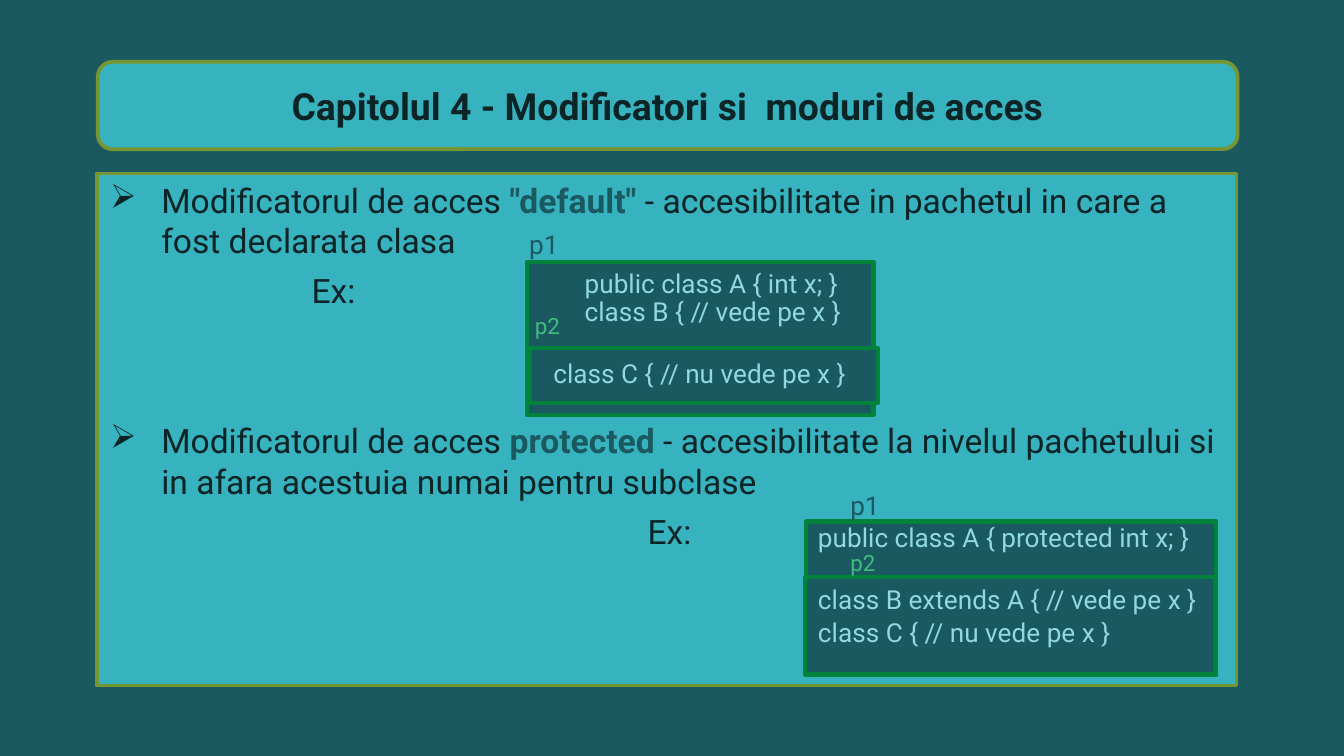
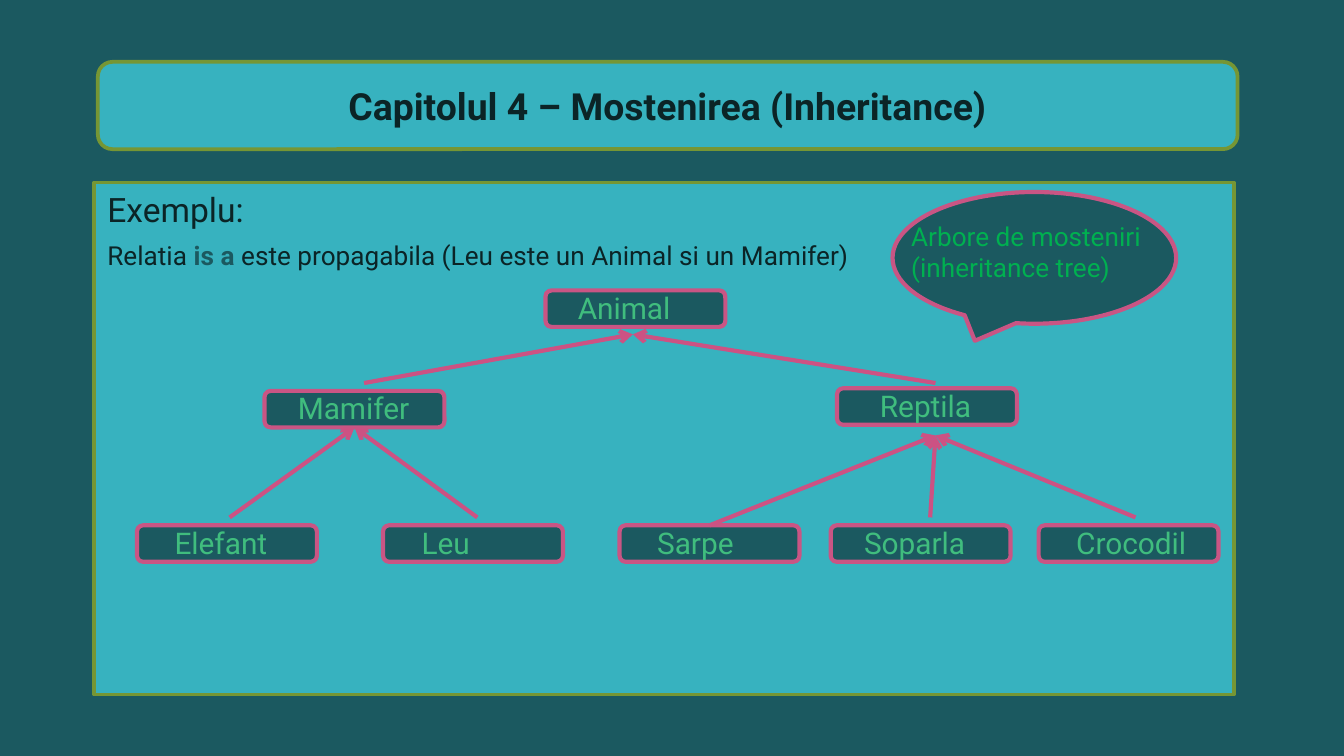
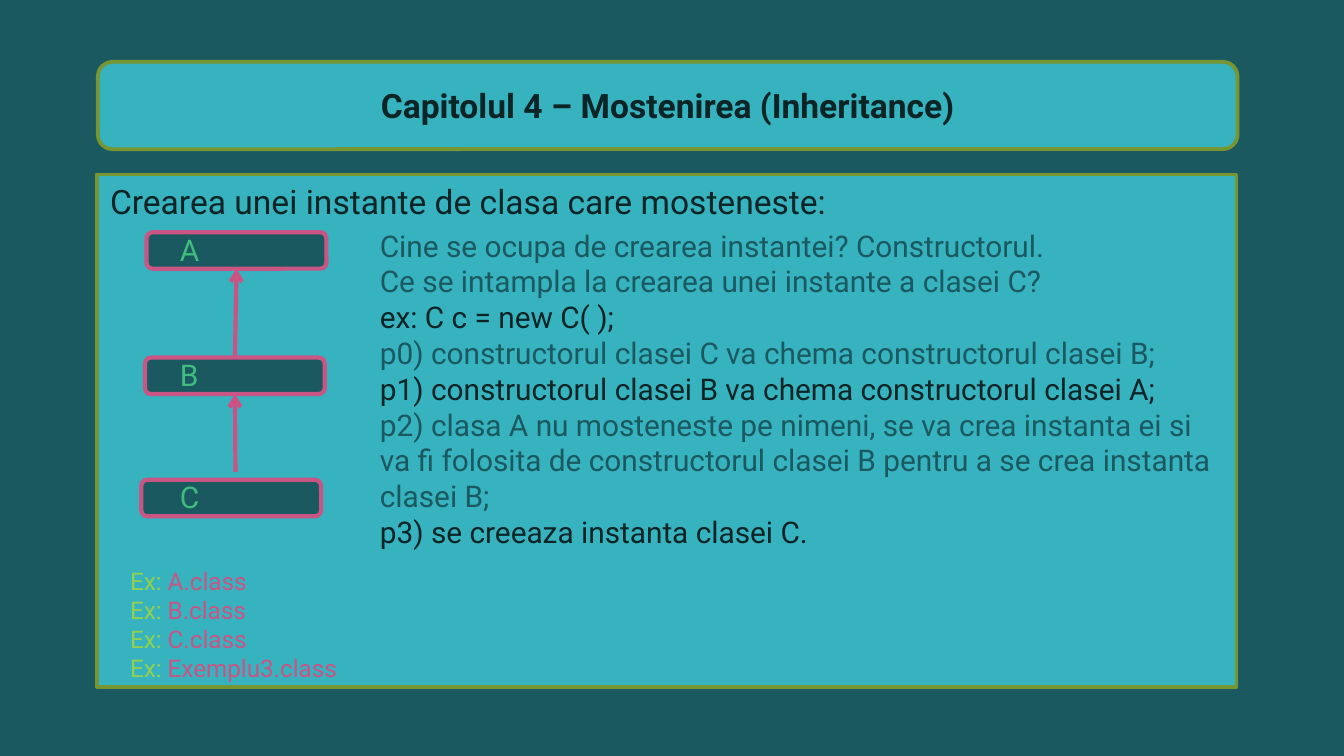
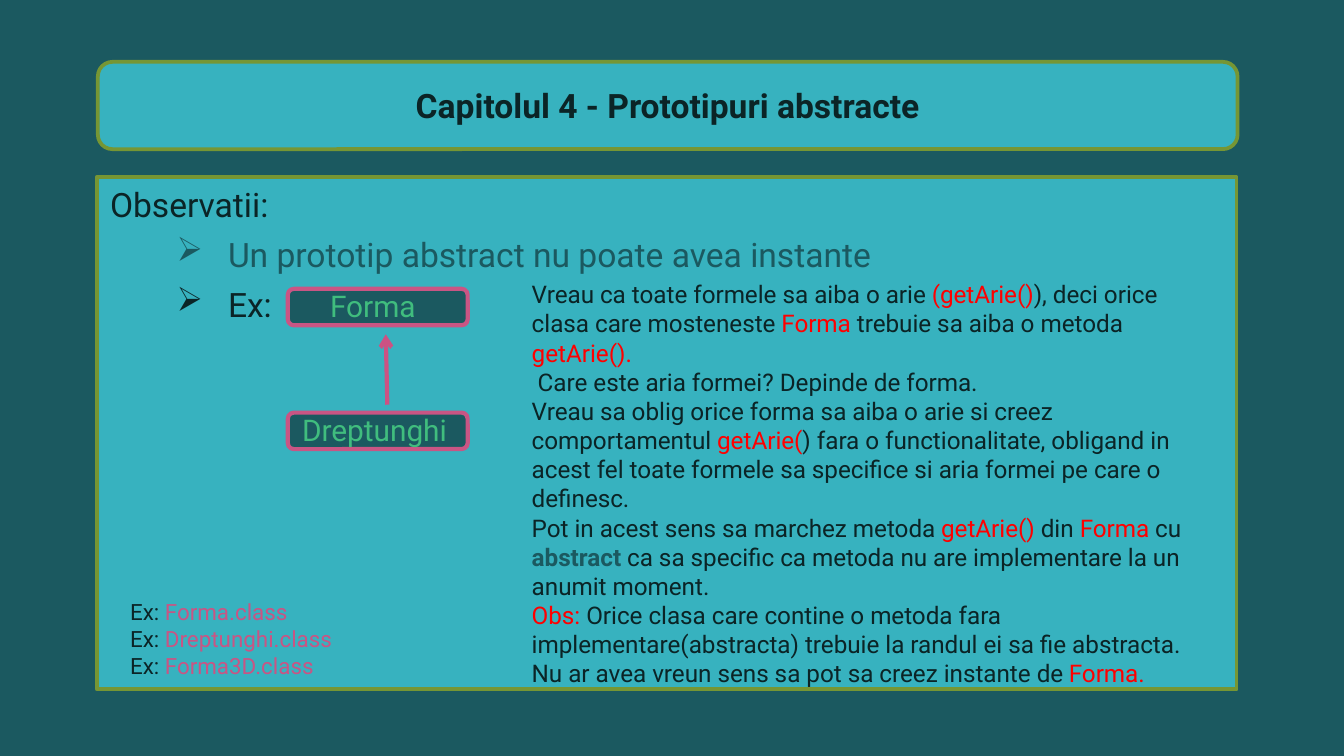
"""Build four slides on access modifiers, inheritance and abstract types."""
from lxml import etree
from pptx import Presentation
from pptx.dml.color import RGBColor
from pptx.enum.shapes import MSO_CONNECTOR, MSO_SHAPE
from pptx.enum.text import MSO_ANCHOR, MSO_AUTO_SIZE, PP_ALIGN
from pptx.oxml.ns import qn
from pptx.util import Cm, Pt

RECT, ROUND = MSO_SHAPE.RECTANGLE, MSO_SHAPE.ROUNDED_RECTANGLE
SHEET, BUBBLE = MSO_SHAPE.FOLDED_CORNER, MSO_SHAPE.OVAL_CALLOUT
LINE = MSO_CONNECTOR.STRAIGHT
TOP, MID = MSO_ANCHOR.TOP, MSO_ANCHOR.MIDDLE
LEFT, MIDDLE = PP_ALIGN.LEFT, PP_ALIGN.CENTER
GROW = MSO_AUTO_SIZE.SHAPE_TO_FIT_TEXT


class Theme:
    font = "Roboto"
    deep, teal, ink = "1B5960", "37B2BF", "0B2426"
    olive, green, rose, arrow = "769634", "00823B", "C95584", "CC5283"
    pale, mint, leaf, lime, red = "91D8E0", "40BD7E", "00B050", "92D050", "FF0000"
    large, head, node, code, note, small = 20, 18, 16, 14, 13, 12
    frame, edge, gap = 2, 2.25, 5.2


def draw(slide, at, paras=(), size=Theme.code, hue=Theme.ink, kind=None,
         fill=Theme.deep, line=Theme.rose, width=Theme.edge):
    """Add a shape, or a text box if no kind is given, and write its text."""
    place = [Cm(n) for n in at]
    if kind is None:
        shape = slide.shapes.add_textbox(*place)
        shape.text_frame.auto_size = GROW
    else:
        shape = slide.shapes.add_shape(kind, *place)
        shape.shadow.inherit = False
        shape.fill.solid()
        shape.fill.fore_color.rgb = RGBColor.from_string(fill)
        shape.line.color.rgb = RGBColor.from_string(line)
        shape.line.width = Pt(width)
    frame = shape.text_frame
    frame.word_wrap = True
    frame.vertical_anchor = TOP
    for i, runs in enumerate(paras):
        para = frame.add_paragraph() if i else frame.paragraphs[0]
        para.alignment = LEFT
        runs = [(run, hue) if isinstance(run, str) else run for run in runs]
        base = runs[0][1]
        para.font.name, para.font.size = Theme.font, Pt(size)
        para.font.color.rgb = RGBColor.from_string(base)
        for text, tint, *bold in runs:
            run = para.add_run()
            run.text = text
            if tint != base:
                run.font.color.rgb = RGBColor.from_string(tint)
            if bold:
                run.font.bold = True
    return shape


def link(slide, start, end):
    """Draw an arrow from a point or a shape's top to a point or a shape's bottom."""
    spots = [Cm(n) for spot in (start, end)
             for n in (spot if isinstance(spot, tuple) else (0, 0))]
    arrow = slide.shapes.add_connector(LINE, *spots)
    if not isinstance(start, tuple):
        arrow.begin_connect(start, 0)
    if not isinstance(end, tuple):
        arrow.end_connect(end, 2)
    arrow.line.color.rgb = RGBColor.from_string(Theme.arrow)
    arrow.line.width = Pt(Theme.edge)
    etree.SubElement(arrow.line._get_or_add_ln(), qn("a:tailEnd"), type="arrow")
    etree.SubElement(arrow._element.spPr, qn("a:effectLst"))


deck = Presentation()
deck.slide_width, deck.slide_height = Cm(25.4), Cm(14.29)

pages = [
    ("Capitolul 4 - Modificatori si  moduri de acces", Theme.large, 1.83, 3.28, [
        (0.97, True, 0, Theme.head, [
            "Modificatorul de acces ", ("\"default\" ", Theme.deep, True),
            "- accesibilitate in pachetul in care a fost declarata clasa"]),
        (3.81, False, 0, Theme.head, ["Ex:"]),
        (0.97, True, 53.5, Theme.head, [
            "Modificatorul de acces ", ("protected ", Theme.deep, True),
            "- accesibilitate la nivelul pachetului si in afara acestuia numai pentru subclase"]),
        (10.16, False, 0, Theme.head, ["Ex:"])]),
    ("Capitolul 4 – Mostenirea (Inheritance)", Theme.large, 1.78, 3.45, [
        (0, False, 0, Theme.head, ["Exemplu:"]),
        (0, False, 0, Theme.code, [
            "Relatia ", ("is a ", Theme.deep, True),
            "este propagabila (Leu este un Animal si un Mamifer)"])]),
    ("Capitolul 4 – Mostenirea (Inheritance)", Theme.head, 1.83, 3.3, [
        (0, False, 0, Theme.head, ["Crearea unei instante de clasa care mosteneste:"])]),
    ("Capitolul 4 - Prototipuri abstracte", Theme.head, 1.83, 3.35, [
        (0, False, 0, Theme.head, ["Observatii:"]),
        (2.23, True, 0, Theme.head, [
            ("Un prototip abstract nu poate avea instante", Theme.deep)]),
        (2.23, True, 0, Theme.head, ["Ex:"])]),
]
slides = []
for title, size, left, top, lines in pages:
    slide = deck.slides.add_slide(deck.slide_layouts[6])
    slides.append(slide)
    slide.background.fill.solid()
    slide.background.fill.fore_color.rgb = RGBColor.from_string(Theme.deep)
    look = {"fill": Theme.teal, "line": Theme.olive, "width": Theme.frame}
    band = draw(slide, (1.85, 1.17, 21.54, 1.65), [[title]], size, kind=ROUND, **look)
    band.text_frame.vertical_anchor = MID
    band.text_frame.paragraphs[0].alignment = MIDDLE
    band.text_frame.paragraphs[0].font.bold = True
    sheet = draw(slide, (left, top, 21.54, 9.68), [line[-1] for line in lines],
                 kind=SHEET, **look)
    fold = next(sheet._element.spPr.iter(qn("a:avLst")))
    etree.SubElement(fold, qn("a:gd"), name="adj", fmla="val 0")
    for para, (indent, bullet, before, size, runs) in zip(sheet.text_frame.paragraphs, lines):
        para.font.size = Pt(size)
        para.space_after = Pt(Theme.gap)
        if before:
            para.space_before = Pt(before)
        props = para._p.get_or_add_pPr()
        props.set("marL", str(Cm(indent)))
        props.set("indent", str(Cm(-0.97 if bullet else 0)))
        if bullet:
            mark = etree.Element(qn("a:buChar"), char="➢")
            props.find(qn("a:defRPr")).addprevious(mark)
access, tree, birth, proto = slides

for at in [(9.96, 4.95, 6.55, 2.9), (10.01, 6.58, 6.58, 1.04),
           (15.24, 9.86, 7.75, 2.9), (15.21, 10.9, 7.75, 1.85)]:
    draw(access, at, kind=RECT, line=Theme.green)
for left, top, width, text in [
        (10.8, 4.93, 5.72, "public class A { int x; }"),
        (10.8, 5.46, 5.72, "class B { // vede pe x }"),
        (10.21, 6.63, 6.5, "class C { // nu vede pe x }"),
        (15.21, 9.73, 7.75, "public class A { protected int x; }"),
        (15.21, 10.9, 8.13, "class B extends A { // vede pe x }"),
        (15.21, 11.53, 7.75, "class C { // nu vede pe x }")]:
    draw(access, (left, top, width, 0.86), [[text]], hue=Theme.pale)
for left, top in [(9.75, 4.19), (15.82, 9.12)]:
    draw(access, (left, top, 1.9, 0.86), [["p1"]], hue=Theme.deep)
for left, top in [(9.86, 5.77), (15.82, 10.26)]:
    draw(access, (left, top, 1.07, 0.69), [["p2"]], Theme.small, Theme.mint)

nodes = {}
for slide, name, left, top, start, width in [
        (tree, "Animal", 10.31, 5.49, 10.67, 2.6),
        (tree, "Mamifer", 5, 7.39, 5.38, 3.05),
        (tree, "Reptila", 15.82, 7.34, 16.38, 2.6),
        (tree, "Elefant", 2.59, 9.93, 3.05, 2.6),
        (tree, "Leu", 7.24, 9.93, 7.72, 2.6),
        (tree, "Sarpe", 11.71, 9.93, 12.17, 2.6),
        (tree, "Soparla", 15.7, 9.93, 16.08, 3.05),
        (tree, "Crocodil", 19.63, 9.93, 20.09, 2.74),
        (birth, "A", 2.77, 4.39, 3.15, 2.6),
        (birth, "B", 2.74, 6.76, 3.15, 3.05),
        (birth, "C", 2.67, 9.07, 3.15, 2.6),
        (proto, "Forma", 5.44, 5.46, 5.99, 2.6),
        (proto, "Dreptunghi", 5.44, 7.8, 5.46, 3.7)]:
    nodes[name] = draw(slide, (left, top, 3.4, 0.69), kind=ROUND)
    draw(slide, (start, top - 0.14, width, 1.02), [[name]], Theme.node, Theme.mint)

peak, joint = (11.96, 6.32), (17.68, 8.23)
for slide, start, end in [
        (tree, (6.88, 7.24), peak),
        (tree, (17.68, 7.24), peak),
        (tree, (4.34, 9.78), nodes["Mamifer"]),
        (tree, (9.02, 9.78), nodes["Mamifer"]),
        (tree, nodes["Sarpe"], joint),
        (tree, (17.58, 9.78), joint),
        (tree, (21.46, 9.78), joint),
        (birth, nodes["B"], nodes["A"]),
        (birth, (4.45, 8.92), nodes["B"]),
        (proto, (7.32, 7.65), (7.29, 6.32))]:
    link(slide, start, end)

bubble = draw(tree, (16.87, 3.63, 5.36, 2.49), kind=BUBBLE)
bubble.adjustments[0], bubble.adjustments[1] = -0.21, 0.63
draw(tree, (16.97, 4.04, 5.05, 1.47),
     [["Arbore de mosteniri"], ["(inheritance tree)"]], hue=Theme.leaf)

draw(birth, (6.93, 4.17, 16.21, 6.58), [
    ["Cine se ocupa de crearea instantei? Constructorul."],
    ["Ce se intampla la crearea unei instante a clasei C?"],
    [("ex: C c = new C( );", Theme.ink)],
    ["p0) constructorul clasei C va chema constructorul clasei B;"],
    [("p1) constructorul clasei B va chema constructorul clasei A;", Theme.ink)],
    ["p2) clasa A nu mosteneste pe nimeni, se va crea instanta ei si va fi folosita de "
     "constructorul clasei B pentru a se crea instanta clasei B;"],
    [("p3) se creeaza instanta clasei C.", Theme.ink)],
], Theme.node, Theme.deep)

draw(proto, (9.8, 5.16, 13.34, 8.05), [
    ["Vreau ca toate formele sa aiba o arie ", ("(getArie()", Theme.red),
     "), deci orice clasa care mosteneste ", ("Forma ", Theme.red),
     "trebuie sa aiba o metoda ", ("getArie().", Theme.red)],
    [" Care este aria formei? Depinde de forma."],
    ["Vreau sa oblig orice forma sa aiba o arie si creez comportamentul ",
     ("getArie(", Theme.red),
     ") fara o functionalitate, obligand in acest fel toate formele sa specifice "
     "si aria formei pe care o definesc."],
    ["Pot in acest sens sa marchez metoda ", ("getArie() ", Theme.red), "din ",
     ("Forma", Theme.red), " cu ", ("abstract", Theme.deep, True),
     " ca sa specific ca metoda nu are implementare la un anumit moment."],
    [("Obs: ", Theme.red),
     "Orice clasa care contine o metoda fara implementare(abstracta) trebuie la "
     "randul ei sa fie abstracta."],
    ["Nu ar avea vreun sens sa pot sa creez instante de ", ("Forma.", Theme.red)],
], Theme.note)

for slide, top, height, size, hue, names in [
        (birth, 10.57, 2.34, Theme.note, Theme.lime, ["A", "B", "C", "Exemplu3"]),
        (proto, 11.18, 1.8, Theme.small, Theme.ink, ["Forma", "Dreptunghi", "Forma3D"])]:
    draw(slide, (2.21, top, 7.92, height),
         [["Ex: ", (f"{name}.class", Theme.rose)] for name in names], size, hue)

deck.save("out.pptx")
